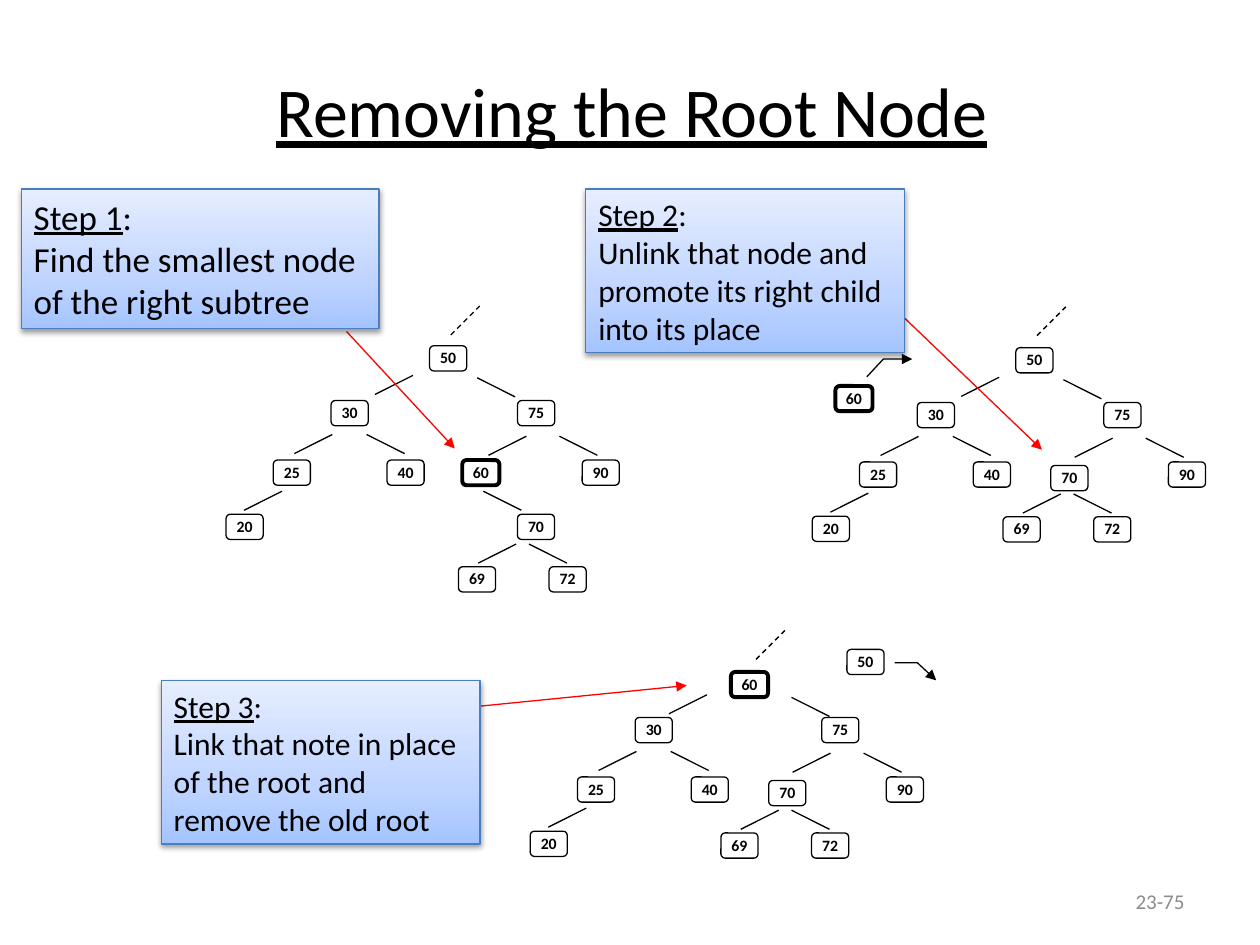
from copy import deepcopy

from pptx import Presentation, util as u
from pptx.dml.color import RGBColor
from pptx.enum import dml, shapes, text
from pptx.oxml import parse_xml
from pptx.oxml.ns import nsdecls, qn

Pt = u.Pt


class Theme:
    font = "Calibri"
    ink, pointer, muted, callout_edge = "000000", "FF0000", "8C8C8C", "4B7EBC"
    callout_stops = [(0, "A4C4FF"), (0.35, "BFD4FF"), (1, "E6EEFF")]
    title_size, number_size, key_size = 40, 12, 9
    thin, thick = 0.75, 2.25


def add_run(paragraph, words, size, color=Theme.ink, bold=False, underline=False):
    run = paragraph.add_run()
    run.text = words
    run.font.name = Theme.font
    run.font.size = Pt(size)
    run.font.bold = bold
    run.font.underline = underline
    run.font.color.rgb = RGBColor.from_string(color)


def add_stroke(parent, points, color=Theme.ink, dashed=False, arrow=False):
    """Draw a line through the points: a connector for two, an open outline for more."""
    corners = [(Pt(x), Pt(y)) for x, y in points]
    if len(corners) == 2:
        stroke = parent.add_connector(shapes.MSO_CONNECTOR.STRAIGHT, *corners[0], *corners[1])
    else:
        outline = parent.build_freeform(*corners[0], scale=1.0)
        outline.add_line_segments(corners[1:], close=False)
        stroke = outline.convert_to_shape()
        stroke.fill.background()
    stroke.line.width = Pt(Theme.thin)
    stroke.line.color.rgb = RGBColor.from_string(color)
    if dashed:
        stroke.line.dash_style = dml.MSO_LINE.DASH
    properties = stroke._element.spPr
    if arrow:
        properties.get_or_add_ln().append(
            parse_xml(f'<a:tailEnd {nsdecls("a")} type="triangle"/>'))
    properties.append(parse_xml(f'<a:effectLst {nsdecls("a")}/>'))


deck = Presentation()
deck.slide_width, deck.slide_height = Pt(720), Pt(540)
slide = deck.slides.add_slide(deck.slide_layouts[5])

title = slide.shapes.title
title.left, title.top, title.width, title.height = Pt(85.7), Pt(28.8), Pt(550.8), Pt(67.7)
title.text_frame.vertical_anchor = text.MSO_ANCHOR.MIDDLE
heading = title.text_frame.paragraphs[0]
heading.alignment = text.PP_ALIGN.CENTER
add_run(heading, "Removing the Root Node", Theme.title_size, underline=True)

page = slide.shapes.add_textbox(Pt(516.2), Pt(500.4), Pt(167.8), Pt(28.8)).text_frame
page.word_wrap = True
page.vertical_anchor = text.MSO_ANCHOR.MIDDLE
page.paragraphs[0].alignment = text.PP_ALIGN.RIGHT
add_run(page.paragraphs[0], "23-75", Theme.number_size, Theme.muted)

# Every position within a tree is measured from the corner of its node 30.
NODE_W, NODE_H = 21.2, 14.4
EDGE_W, EDGE_H = 21.7, 10.9
LEFT, RIGHT = -1, 1
shared_nodes = {"30": (0, 0), "25": (-33, 34), "20": (-60, 65),
                "75": (106.6, 0), "40": (32, 34), "90": (143.5, 34)}
shared_edges = [(0.7, 19.4, LEFT), (20.3, 19.4, RIGHT), (-28, 51.8, LEFT),
                (111.6, 20.4, LEFT), (130.5, 20.4, RIGHT)]
root_edges = [(46.8, -14.4, LEFT), (83.5, -13, RIGHT)]
wide_root_edges = [(41, -13, LEFT), (89.3, -11.5, RIGHT)]
root_spot, promoted_spot = (56.3, -31.3), (76.3, 36)

trees = [
    dict(origin=(189.2, 228.9), fork=(72.8, 95), parent_link=(68.4, -37.5),
         edges=root_edges + [(87, 51.8, RIGHT)],
         nodes={"50": root_spot, "60": (75, 34), "70": (106.5, 65)}),
    dict(origin=(524.2, 230), fork=(49, 65.3), parent_link=(68.4, -38.2),
         edges=root_edges,
         nodes={"50": root_spot, "60": (-46.8, -9.4), "70": promoted_spot},
         unlinked=[(-28.8, -14.7), (-19.4, -24.8), (-2.9, -24.8)]),
    dict(origin=(363, 410), fork=(49, 66), parent_link=(69, -33.2),
         edges=wide_root_edges,
         nodes={"50": (121, -38.9), "60": (54.7, -26), "70": promoted_spot},
         unlinked=[(148.2, -31.3), (161.2, -31.3), (172, -21.2)]),
]

for tree in trees:
    group = slide.shapes.add_group_shape().shapes
    x0, y0 = tree["origin"]
    fork_x, fork_y = tree["fork"]
    fork_edges = [(fork_x + 33, fork_y - 13, LEFT), (fork_x + 40.3, fork_y - 13, RIGHT)]
    for x, y, side in shared_edges + tree["edges"] + fork_edges:
        add_stroke(group, [(x0 + x + side * EDGE_W, y0 + y + EDGE_H), (x0 + x, y0 + y)])

    link_x, link_y = x0 + tree["parent_link"][0], y0 + tree["parent_link"][1]
    add_stroke(group, [(link_x, link_y), (link_x + 16.5, link_y - 16.5)], dashed=True)
    if "unlinked" in tree:
        add_stroke(group, [(x0 + x, y0 + y) for x, y in tree["unlinked"]], arrow=True)

    fork_nodes = {"69": (fork_x, fork_y), "72": (fork_x + 51.8, fork_y)}
    for key, (x, y) in {**shared_nodes, **tree["nodes"], **fork_nodes}.items():
        node = group.add_shape(shapes.MSO_SHAPE.ROUNDED_RECTANGLE,
                               Pt(x0 + x), Pt(y0 + y), Pt(NODE_W), Pt(NODE_H))
        node.shadow.inherit = False
        node.fill.background()
        node.line.color.rgb = RGBColor.from_string(Theme.ink)
        node.line.width = Pt(Theme.thick if key == "60" else Theme.thin)
        label = node.text_frame
        label.margin_left = label.margin_right = Pt(0.7)
        label.margin_top = label.margin_bottom = Pt(0.7)
        label.vertical_anchor = text.MSO_ANCHOR.TOP
        label.paragraphs[0].alignment = text.PP_ALIGN.CENTER
        add_run(label.paragraphs[0], key, Theme.key_size, bold=True)

steps = [
    ("Step 1", "Find the smallest node of the right subtree", 20,
     (12.2, 108, 204.5, 79.9), [(198, 189.4), (259.9, 256.3)]),
    ("Step 2", "Unlink that node and promote its right child into its place", 18,
     (334.8, 108, 182.2, 93.6), [(508.3, 173.5), (595.4, 257)]),
    ("Step 3", "Link that note in place of the root and remove the old root", 18,
     (92.2, 388.8, 182.2, 93.6), [(255.6, 405.4), (392.4, 391.7)]),
]

for step, action, size, box, pointer in steps:
    add_stroke(slide.shapes, pointer, Theme.pointer, arrow=True)
    callout = slide.shapes.add_shape(shapes.MSO_SHAPE.RECTANGLE, *map(Pt, box))
    callout.line.color.rgb = RGBColor.from_string(Theme.callout_edge)
    callout.line.width = Pt(Theme.thin)

    callout.fill.gradient()
    callout.fill.gradient_angle = 90
    stop_list = callout._element.spPr.find(qn("a:gradFill")).find(qn("a:gsLst"))
    stop_list.append(deepcopy(stop_list[-1]))
    for stop, (position, color) in zip(callout.fill.gradient_stops, Theme.callout_stops):
        stop.position = position
        stop.color.rgb = RGBColor.from_string(color)

    callout.shadow.inherit = False
    callout._element.spPr.find(qn("a:effectLst")).append(parse_xml(
        f'<a:outerShdw {nsdecls("a")} blurRad="{Pt(3.1)}" dist="{Pt(1.6)}" dir="5400000" '
        f'rotWithShape="0"><a:srgbClr val="{Theme.ink}"><a:alpha val="38000"/></a:srgbClr>'
        '</a:outerShdw>'))

    body = callout.text_frame
    body.word_wrap = True
    body.auto_size = text.MSO_AUTO_SIZE.SHAPE_TO_FIT_TEXT
    body.vertical_anchor = text.MSO_ANCHOR.TOP
    lead, detail = body.paragraphs[0], body.add_paragraph()
    lead.alignment = detail.alignment = text.PP_ALIGN.LEFT
    add_run(lead, step, size, underline=True)
    add_run(lead, ":", size)
    add_run(detail, action, size)

deck.save("out.pptx")
